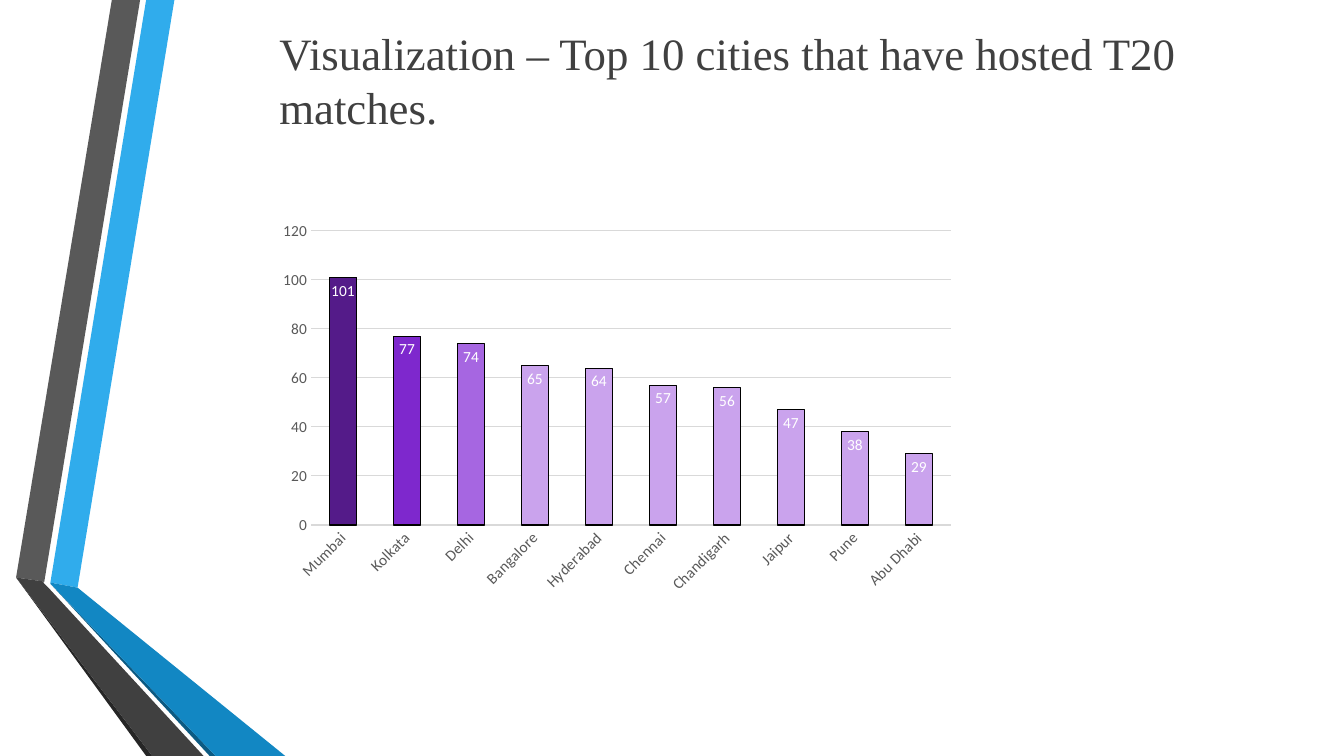
from lxml.etree import SubElement
from pptx import Presentation
from pptx.chart.data import CategoryChartData
from pptx.dml.color import RGBColor
from pptx.enum.chart import XL_CHART_TYPE, XL_LABEL_POSITION, XL_TICK_MARK
from pptx.enum.text import MSO_ANCHOR, PP_ALIGN
from pptx.oxml.ns import qn
from pptx.util import Inches, Pt

COLORS = {
    "title": "404040", "axis": "595959", "grid": "D9D9D9",
    "outline": "000000", "label": "FFFFFF", "bar": "CAA3ED",
    "first": "541B89", "second": "7E28CD", "third": "A666E1",
    "sky": "30ACEC", "blue": "1287C3", "navy": "0C5A82",
    "gray": "595959", "dark": "404040", "black": "262626",
}

# Ribbon outlines in inches, from back to front
RIBBONS = [
    ("sky", [(0.5, 5.78), (0.77, 5.83), (1.73, 0), (1.45, 0)]),
    ("gray", [(1.39, 0), (1.11, 0), (0.16, 5.73), (0.44, 5.77)]),
    ("black", [(0.16, 5.73), (1.45, 7.5), (1.51, 7.5)]),
    ("navy", [(0.5, 5.79), (2.08, 7.5), (2.14, 7.5)]),
    ("blue", [(0.5, 5.79), (2.14, 7.5), (2.83, 7.5), (0.77, 5.83), (0.5, 5.78)]),
    ("dark", [(2.02, 7.5), (0.48, 5.83), (0.43, 5.78), (0.44, 5.77),
              (0.16, 5.73), (1.51, 7.5)]),
]

MATCHES = {
    "Mumbai": 101, "Kolkata": 77, "Delhi": 74, "Bangalore": 65,
    "Hyderabad": 64, "Chennai": 57, "Chandigarh": 56, "Jaipur": 47,
    "Pune": 38, "Abu Dhabi": 29,
}


def color(name):
    return RGBColor.from_string(COLORS[name])


class Page:
    title_font = "Times New Roman"
    chart_font = "Calibri"
    chart_size = Pt(11)

    def __init__(self, deck):
        self.slide = deck.slides.add_slide(deck.slide_layouts[5])

    def ribbon(self, fill, points):
        start, *rest = [(Inches(x), Inches(y)) for x, y in points]
        builder = self.slide.shapes.build_freeform(*start)
        builder.add_line_segments(rest, close=True)
        shape = builder.convert_to_shape()
        shape.shadow.inherit = False
        shape.fill.solid()
        shape.fill.fore_color.rgb = color(fill)
        shape.line.fill.background()

    def title(self, text, left, top, width, height):
        box = self.slide.shapes.title
        box.left, box.top = Inches(left), Inches(top)
        box.width, box.height = Inches(width), Inches(height)
        frame = box.text_frame
        frame.word_wrap = True
        frame.vertical_anchor = MSO_ANCHOR.TOP
        para = frame.paragraphs[0]
        para.alignment = PP_ALIGN.LEFT
        span = para.add_run()
        span.text = text
        span.font.name = self.title_font
        span.font.size = Pt(32)
        span.font.color.rgb = color("title")

    def style_font(self, font, name):
        font.name = self.chart_font
        font.size = self.chart_size
        font.color.rgb = color(name)

    def style_line(self, line, name):
        line.color.rgb = color(name)
        line.width = Pt(0.75)

    def style_bar(self, bar, name):
        bar.fill.solid()
        bar.fill.fore_color.rgb = color(name)
        self.style_line(bar.line, "outline")

    def column_chart(self, values, highlights, left, top, width, height):
        data = CategoryChartData()
        data.categories = list(values)
        data.add_series("Series 1", list(values.values()))
        chart = self.slide.shapes.add_chart(
            XL_CHART_TYPE.COLUMN_CLUSTERED, Inches(left), Inches(top),
            Inches(width), Inches(height), data).chart
        chart.has_title = False
        chart.has_legend = False
        self.style_font(chart.font, "outline")

        # Axes
        for axis in (chart.category_axis, chart.value_axis):
            axis.major_tick_mark = axis.minor_tick_mark = XL_TICK_MARK.NONE
            self.style_font(axis.tick_labels.font, "axis")
        self.style_line(chart.category_axis.format.line, "grid")
        text_body = chart.category_axis._element.find(qn("c:txPr"))
        text_body.find(qn("a:bodyPr")).set("rot", "-2700000")
        scale = chart.value_axis
        scale.minimum_scale, scale.maximum_scale, scale.major_unit = 0, 120, 20
        scale.format.line.fill.background()
        self.style_line(scale.major_gridlines.format.line, "grid")

        # Bars and value labels
        plot = chart.plots[0]
        plot.vary_by_categories = False
        plot.gap_width, plot.overlap = 130, -27
        series = plot.series[0]
        self.style_bar(series.format, "bar")
        for index, name in enumerate(highlights):
            self.style_bar(series.points[index].format, name)
        labels = series.data_labels
        labels.show_value = True
        labels.position = XL_LABEL_POSITION.INSIDE_END
        self.style_font(labels.font, "label")


def main():
    deck = Presentation()
    deck.slide_width, deck.slide_height = Inches(13.33), Inches(7.5)
    page = Page(deck)

    # Folded ribbons on the left
    for fill, points in RIBBONS:
        page.ribbon(fill, points)

    # Heading and chart
    page.title("Visualization – Top 10 cities that have hosted T20 matches.",
               2.67, 0.21, 10.11, 1.18)
    page.column_chart(MATCHES, ["first", "second", "third"],
                      2.67, 2.12, 6.9, 3.85)
    deck.save("out.pptx")


if __name__ == "__main__":
    main()
